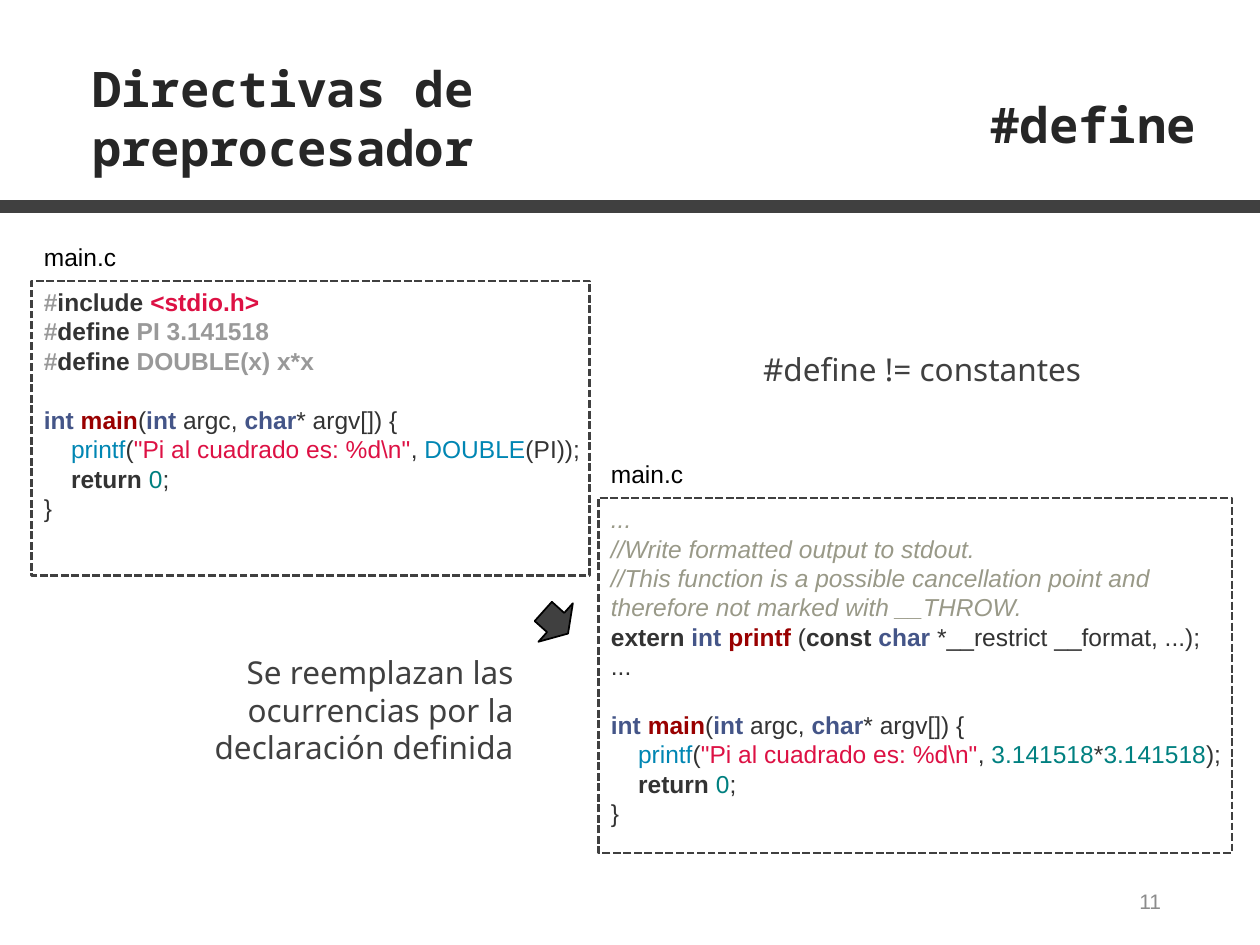
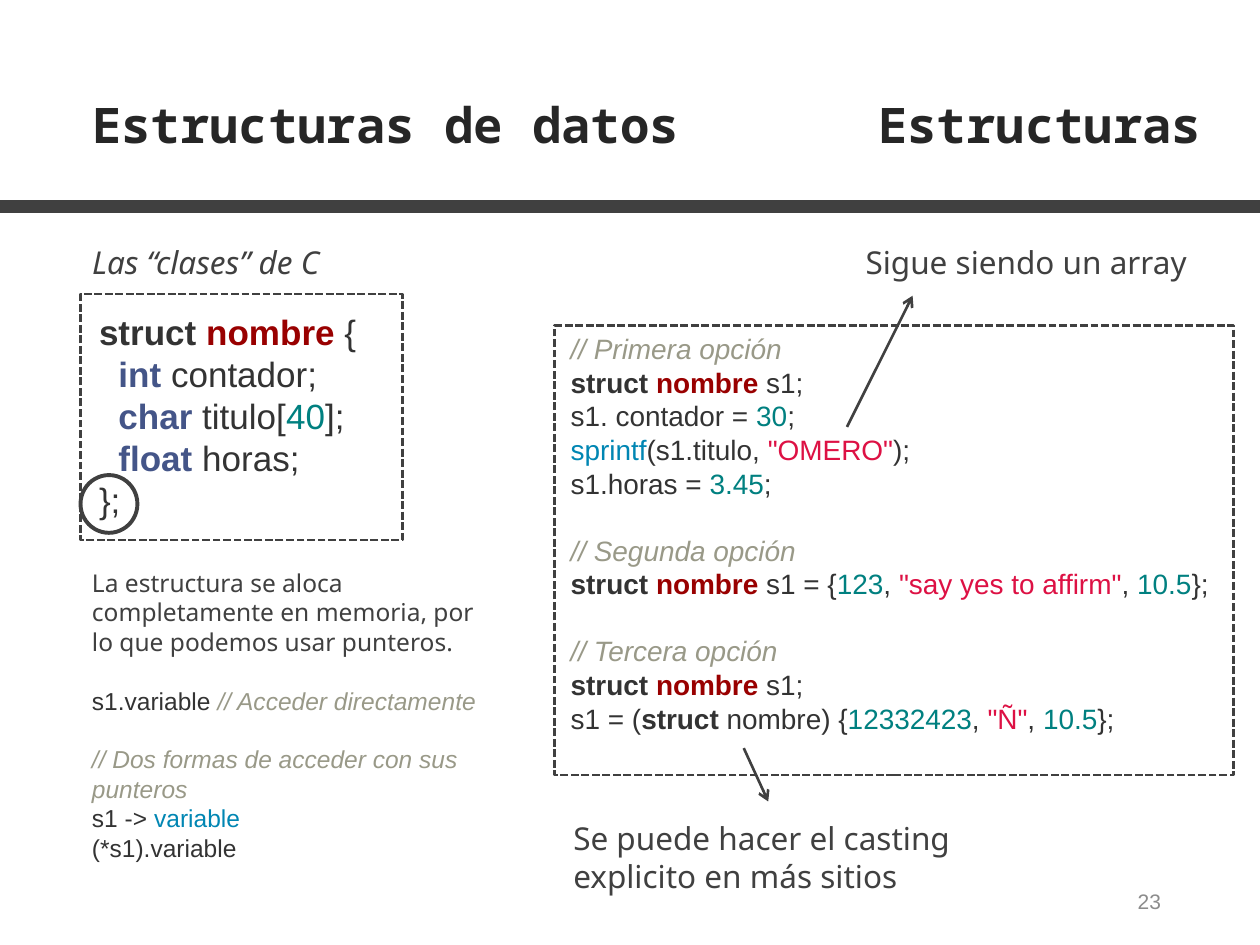
"""Build two slides about C: the #define directive and structures."""
from dataclasses import dataclass, field

from lxml.etree import SubElement
from pptx import Presentation
from pptx.dml.color import RGBColor
from pptx.enum.dml import MSO_LINE
from pptx.enum.shapes import MSO_CONNECTOR, MSO_SHAPE
from pptx.enum.text import MSO_ANCHOR, PP_ALIGN
from pptx.oxml.ns import qn
from pptx.util import Pt

SANS, MONO, CODE = "Noto Sans", "Noto Sans Mono", "Arial"


@dataclass(frozen=True)
class Look:
    color: str
    bold: bool = False
    slant: bool = False
    font: str = CODE


@dataclass(frozen=True)
class Theme:
    dark: str = "404040"
    black: str = "000000"
    head: int = 28
    note: int = 18
    code: int = 14
    mid: int = 16
    big: int = 20
    foot: int = 12
    lead: float = 1.2
    tab: float = 0.555
    looks: dict = field(default_factory=lambda: {
        "x": Look("333333"),
        "k": Look("333333", bold=True),
        "t": Look("445588", bold=True),
        "n": Look("990000", bold=True),
        "f": Look("0086B3"),
        "s": Look("DD1144"),
        "h": Look("DD1144", bold=True),
        "d": Look("008080"),
        "g": Look("999999", bold=True),
        "c": Look("999988", slant=True),
        "u": Look("404040", font=SANS),
        "i": Look("404040", slant=True, font=SANS),
        "T": Look("262626", bold=True, font=MONO),
        "L": Look("000000"),
        "P": Look("8C8C8C"),
    })


THEME = Theme()
MAIN = "^~tint ~~nmain~(~tint~ argc, ~tchar~* argv[]) {"
PRINT = '>>~fprintf~(~s"Pi al cuadrado es: %d\\n"~, '
CLOSE = [">>~kreturn ~~d0~;", "}"]
OPEN = "~kstruct ~~nnombre~"

DEFINE = [
    "~g#~~kinclude ~~h<stdio.h>~",
    "~g#~~kdefine~~g PI 3.141518~",
    "~g#~~kdefine~~g DOUBLE(x) x*x~",
    MAIN,
    PRINT + "~fDOUBLE~(PI));",
    *CLOSE,
]
RESULT = [
    "~c...~",
    "~c//Write formatted output to stdout.~",
    "~c//This function is a possible cancellation point and "
    "therefore not marked with __THROW.~",
    "~kextern ~~tint ~~nprintf ~(~kconst ~~tchar~ *__restrict __format, ...);",
    "...",
    MAIN,
    PRINT + "~d3.141518~*~d3.141518~);",
    *CLOSE,
]
STRUCT = [
    OPEN + " {",
    ">~tint~ contador;",
    ">~tchar~ titulo[~d40~];",
    ">~tfloat~ horas;",
    "};",
]
USES = [
    "~c// Primera opción~",
    OPEN + " s1;",
    "s1. contador = ~d30~;",
    '~fsprintf~(s1.titulo, ~s"OMERO"~);',
    "s1.horas = ~d3.45~;",
    "^~c// Segunda opción~",
    OPEN + ' s1 = {~d123~, ~s"say yes to affirm"~, ~d10.5~};',
    "^~c// Tercera opción~",
    OPEN + " s1;",
    's1 = (~kstruct~ nombre) {~d12332423~, ~s"Ñ"~, ~d10.5~};',
]
ACCESS = [
    "~uLa estructura se aloca completamente en memoria, "
    "por lo que podemos usar punteros.~",
    "^s1.variable ~c// Acceder directamente~",
    "^~c// Dos formas de acceder con sus punteros~",
    "s1 -> ~fvariable~",
    "(*s1).variable",
]


def add_run(para, text, look, size):
    """Append one run in the given look."""
    run = para.add_run()
    run.text = text
    font = run.font
    font.name, font.size = look.font, Pt(size)
    font.bold, font.italic = look.bold, look.slant
    font.color.rgb = RGBColor.from_string(look.color)


def add_line(para, line, size, base):
    """Fill a paragraph: ^ is a gap above, > an indent, ~kword~ a look."""
    para.line_spacing = Pt(size * THEME.lead)
    if line.startswith("^"):
        para.space_before = Pt(size * THEME.lead)
        line = line[1:]
    body = line.lstrip(">")
    depth = len(line) - len(body)
    if depth:
        indent = Pt(depth * size * THEME.tab)
        para._p.get_or_add_pPr().set("marL", str(int(indent)))
    for spot, part in enumerate(body.split("~")):
        if part and spot % 2:
            add_run(para, part[1:], THEME.looks[part[0]], size)
        elif part:
            add_run(para, part, THEME.looks[base], size)


def add_text(slide, box, lines, size, base="x", align=PP_ALIGN.LEFT):
    """Add a wrapped text box with one paragraph for each line."""
    frame = slide.shapes.add_textbox(*map(Pt, box)).text_frame
    frame.word_wrap = True
    for spot, line in enumerate(lines):
        para = frame.add_paragraph() if spot else frame.paragraphs[0]
        para.alignment = align
        add_line(para, line, size, base)
    return frame


def add_note(slide, box, text, base="u", align=PP_ALIGN.LEFT):
    """Add a remark beside the code."""
    add_text(slide, box, [text], THEME.note, base, align)


def add_form(slide, kind, box, width, fill=None, line=THEME.dark):
    """Add a preset shape with an outline and an optional fill."""
    form = slide.shapes.add_shape(kind, *map(Pt, box))
    form.shadow.inherit = False
    if fill:
        form.fill.solid()
        form.fill.fore_color.rgb = RGBColor.from_string(fill)
    else:
        form.fill.background()
    form.line.color.rgb = RGBColor.from_string(line)
    form.line.width = Pt(width)
    return form


def add_frame(slide, box):
    """Add the dashed frame around a piece of code."""
    frame = add_form(slide, MSO_SHAPE.RECTANGLE, box, 1.5)
    frame.line.dash_style = MSO_LINE.SQUARE_DOT


def add_file(slide, box, lines):
    """Add a framed listing with its file name above."""
    left, top, width, high = box
    add_text(slide, (left, top - 25.5, 120, 24), ["main.c"], THEME.code, "L")
    add_text(slide, (left, top, width + 8, high), lines, THEME.code)
    add_frame(slide, box)


def add_arrow(slide, start, end):
    """Add a thin arrow from start to end."""
    arrow = slide.shapes.add_connector(
        MSO_CONNECTOR.STRAIGHT, *map(Pt, (*start, *end)))
    arrow.line.color.rgb = RGBColor.from_string(THEME.dark)
    arrow.line.width = Pt(1.5)
    SubElement(arrow.line._get_or_add_ln(), qn("a:tailEnd"), type="arrow")
    SubElement(arrow._element.spPr, qn("a:effectLst"))


def add_page(deck, title, topic, page, top=50.5):
    """Add a slide with its two titles, band and page number."""
    slide = deck.slides.add_slide(deck.slide_layouts[6])
    add_text(slide, (45.5, top, 406, 41), [title], THEME.head, "T")
    add_text(slide, (479.5, 50.5, 214 if top == 50.5 else 211, 41), [topic],
             THEME.head, "T", PP_ALIGN.RIGHT)
    add_form(slide, MSO_SHAPE.RECTANGLE, (-27, 115, 760, 6.5), 1, THEME.dark)
    foot = add_text(slide, (508.5, 500.5, 162, 29), [str(page)],
                    THEME.foot, "P", PP_ALIGN.RIGHT)
    foot.vertical_anchor = MSO_ANCHOR.MIDDLE
    return slide


def add_define(deck):
    """Add the slide on the #define directive."""
    slide = add_page(deck, "Directivas de preprocesador", "#define", 11, 30)
    add_file(slide, (18, 160.5, 319, 168.5), DEFINE)
    add_file(slide, (342, 284.5, 362, 203), RESULT)
    arrow = add_form(slide, MSO_SHAPE.RIGHT_ARROW, (308, 341, 19, 29.5), 1,
                     THEME.dark, THEME.black)
    arrow.rotation = 41.8
    add_note(slide, (109.5, 369.5, 191, 72),
             "Se reemplazan las ocurrencias por la declaración definida",
             align=PP_ALIGN.RIGHT)
    add_note(slide, (429, 196.5, 203, 29), "#define != constantes")


def add_struct(deck):
    """Add the slide on structures."""
    slide = add_page(deck, "Estructuras de datos", "Estructuras", 23)
    add_note(slide, (45.5, 135.5, 176, 29), "Las “clases” de C", "i")
    add_text(slide, (49.5, 174, 176, 153), STRUCT, THEME.big)
    add_frame(slide, (46, 168, 184, 140.5))
    add_form(slide, MSO_SHAPE.OVAL, (46, 271.5, 32.5, 33), 2.25)
    add_text(slide, (45.5, 321, 244, 178), ACCESS, THEME.code)
    add_text(slide, (319, 186, 386, 243), USES, THEME.mid)
    add_frame(slide, (317, 186, 388, 257))
    add_arrow(slide, (484, 244), (521.5, 169))
    add_note(slide, (487.5, 135.5, 206, 29), "Sigue siendo un array")
    add_arrow(slide, (425, 427.5), (439, 458))
    add_note(slide, (320.5, 464.5, 269, 50),
             "Se puede hacer el casting explicito en más sitios")


def main():
    """Build and save the slides."""
    deck = Presentation()
    deck.slide_width, deck.slide_height = Pt(720), Pt(540)
    add_define(deck)
    add_struct(deck)
    deck.save("out.pptx")


if __name__ == "__main__":
    main()
